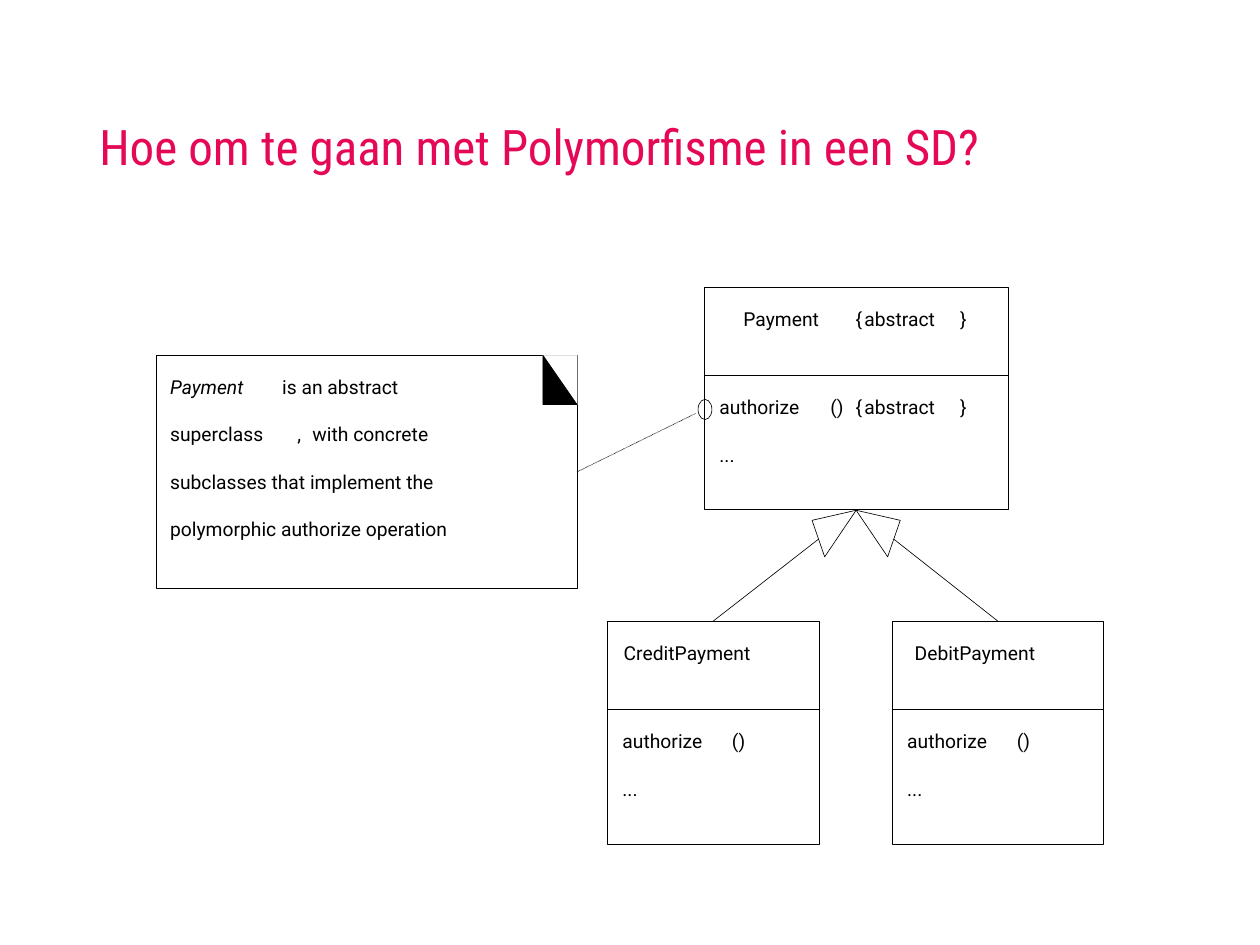
from dataclasses import dataclass

from lxml.etree import SubElement
from pptx import Presentation
from pptx.dml.color import RGBColor as RGB
from pptx.enum.dml import MSO_LINE as Dash
from pptx.enum.shapes import MSO_CONNECTOR as Conn, MSO_SHAPE as Kind
from pptx.enum.text import MSO_ANCHOR as Anchor
from pptx.oxml.ns import qn
from pptx.util import Inches, Pt


@dataclass(frozen=True)
class Theme:
    ink: RGB = RGB(0, 0, 0)
    paper: RGB = RGB(255, 255, 255)
    accent: RGB = RGB(0xE5, 0x08, 0x56)
    body: str = "Roboto"
    head: str = "Roboto Condensed"
    small: float = 11
    large: float = 28
    rule: float = 0.38


T = Theme()
PAD, STEP, TALL = 0.16, 0.375, 0.28  # text rows inside a box


def add_text(slide, text, box, size=T.small, font=T.body, color=T.ink,
             italic=None, inset=0, wrap=False, anchor=Anchor.TOP, spacing=None):
    frame = slide.shapes.add_textbox(*map(Inches, box)).text_frame
    frame.margin_left = frame.margin_right = Inches(inset)
    frame.margin_top = frame.margin_bottom = Inches(inset / 2)
    frame.word_wrap, frame.vertical_anchor = wrap, anchor
    para = frame.paragraphs[0]
    para.line_spacing = spacing
    run = para.add_run()
    run.text = text
    run.font.size, run.font.name = Pt(size), font
    run.font.color.rgb, run.font.italic = color, italic


def paint(shape, fill=None, line=T.ink):
    shape.shadow.inherit = False
    if fill is None:
        shape.fill.background()
    else:
        shape.fill.solid()
        shape.fill.fore_color.rgb = fill
    shape.line.color.rgb = line
    shape.line.width = Pt(T.rule)
    return shape


def add_box(slide, box, kind=Kind.RECTANGLE, fill=T.paper):
    return paint(slide.shapes.add_shape(kind, *map(Inches, box)), fill)


def add_poly(slide, points, fill=None, line=T.ink):
    first, *rest = [(Inches(x), Inches(y)) for x, y in points]
    pen = slide.shapes.build_freeform(*first)
    pen.add_line_segments(rest, close=True)
    return paint(pen.convert_to_shape(), fill, line)


def add_link(slide, source, site, end, dash=None):
    link = slide.shapes.add_connector(Conn.STRAIGHT, 0, 0, *map(Inches, end))
    link.begin_connect(source, site)
    link.line.color.rgb, link.line.width = T.ink, Pt(T.rule)
    link.line.dash_style = dash
    SubElement(link._element.spPr, qn("a:effectLst"))


def add_rows(slide, box, rows):
    """Each row holds (offset, width, text) words, with italic as an extra."""
    left, top = box[:2]
    for n, row in enumerate(rows):
        for dx, width, text, *italic in row:
            place = (left + dx, top + PAD + n * STEP, width, TALL)
            add_text(slide, text, place, italic=bool(italic) or None)


def add_class(slide, box, name, methods):
    left, top, width, height = box
    split = 0.7
    upper = (left, top, width, split)
    lower = (left, top + split, width, height - split)
    cell = add_box(slide, upper)
    add_rows(slide, upper, [name])
    add_box(slide, lower)
    add_rows(slide, lower, methods)
    return cell


def add_arrow(slide, child, tip, side):
    """Hollow arrow; side is -1 for a child on the left, 1 on the right."""
    x, y = tip
    add_link(slide, child, 0, (x + side * 0.3, y + 0.23))
    add_poly(slide, [(x + side * 0.35, y + 0.08), tip,
                     (x + side * 0.25, y + 0.37)])


def add_note(slide, box, rows):
    left, top, width, _ = box
    right = left + width
    fold, low = right - 0.27, top + 0.39
    note = add_box(slide, box)
    add_rows(slide, box, rows)
    # Cut corner and dark fold
    add_poly(slide, [(fold, top), (right, low), (right, top)],
             T.paper, T.paper)
    add_poly(slide, [(right, low), (fold, top), (fold, low)], T.ink)
    return note


def add_title(slide, box):
    add_text(slide, "Hoe om te gaan met Polymorfisme in een SD?", box,
             size=T.large, font=T.head, color=T.accent, inset=0.1,
             wrap=True, anchor=Anchor.BOTTOM, spacing=0.9)


def add_tree(slide, box):
    left, top, _, _ = box
    dots = [(0.12, 0.16, "...")]
    # Abstract parent
    parent = (left + 0.77, top, 2.41, 1.76)
    mark = [(1.2, 0.06, "{"), (1.27, 0.71, "abstract"), (2.03, 0.07, "}")]
    add_class(slide, parent, [(0.31, 0.84, "Payment"), *mark],
              [[(0.12, 0.82, "authorize"), (1, 0.19, "()"), *mark], dots])
    # Concrete children
    tip = (parent[0] + parent[2] / 2, top + parent[3] + 0.01)
    kids = [(0, (0.13, 1.32, "CreditPayment"), -1),
            (2.26, (0.18, 1.25, "DebitPayment"), 1)]
    for dx, name, side in kids:
        child = add_class(slide, (left + dx, top + 2.65, 1.68, 1.77), [name],
                          [[(0.12, 0.82, "authorize"), (0.99, 0.13, "()")],
                           dots])
        add_arrow(slide, child, tip, side)


def add_remark(slide, box, ring):
    note = add_note(slide, box, [
        [(0.11, 0.84, "Payment", "italic"), (1, 1.24, "is an abstract")],
        [(0.11, 0.95, "superclass"), (1.12, 0.11, ","),
         (1.24, 1.23, "with concrete")],
        [(0.11, 2.73, "subclasses that implement the")],
        [(0.11, 2.84, "polymorphic authorize operation")],
    ])
    # Dotted anchor to the operation
    x, y, _, height = ring
    add_link(slide, note, 3, (x - 0.02, y + height * 0.7), Dash.ROUND_DOT)
    add_box(slide, ring, Kind.OVAL, None)


def main():
    deck = Presentation()
    deck.slide_width, deck.slide_height = Inches(10), Inches(7.5)
    slide = deck.slides.add_slide(deck.slide_layouts[6])
    add_title(slide, (0.69, 0.4, 8.62, 1.05))
    add_tree(slide, (4.82, 2.28, 3.94, 4.42))
    add_remark(slide, (1.24, 2.82, 3.34, 1.85), (5.54, 3.17, 0.11, 0.16))
    deck.save("out.pptx")


if __name__ == "__main__":
    main()
